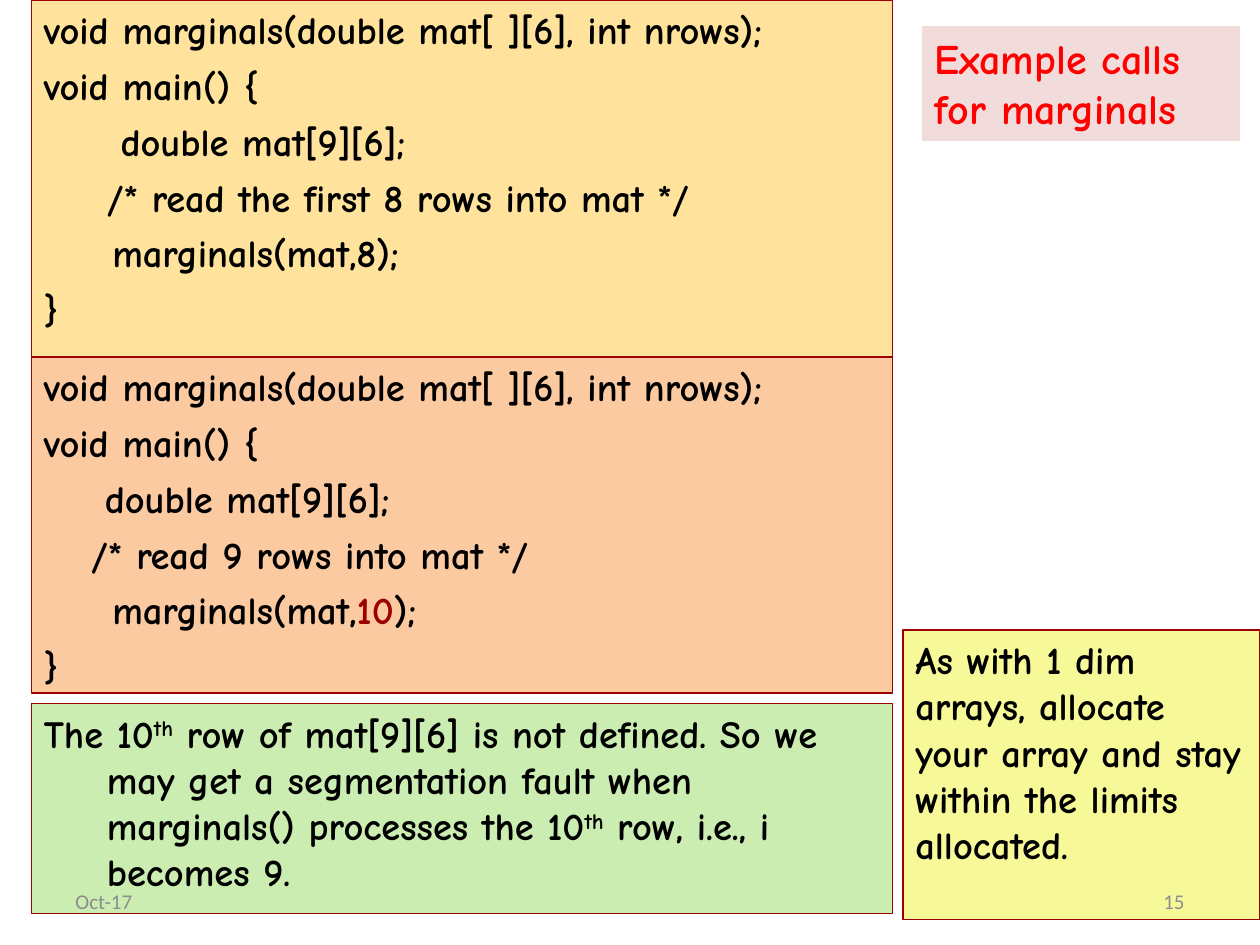
"""Build a slide with example calls of a C function taking a two-dimensional array."""
import pptx
import pptx.dml.color
import pptx.enum.shapes
import pptx.enum.text
import pptx.util

Pt = pptx.util.Pt
RGBColor = pptx.dml.color.RGBColor
ALIGN = pptx.enum.text.PP_ALIGN
ANCHOR = pptx.enum.text.MSO_ANCHOR

BLACK = RGBColor(0x00, 0x00, 0x00)
RED = RGBColor(0xFF, 0x00, 0x00)
DARK_RED = RGBColor(0x9D, 0x00, 0x00)
GRAY = RGBColor(0x8C, 0x8C, 0x8C)
PINK = RGBColor(0xF2, 0xDC, 0xDB)
YELLOW = RGBColor(0xFF, 0xE3, 0x9D)
ORANGE = RGBColor(0xFB, 0xCA, 0xA1)
GREEN = RGBColor(0xCC, 0xED, 0xB1)
LEMON = RGBColor(0xF7, 0xF9, 0x99)


def style(p, size, color, name="Comic Neue", bold=True, align=ALIGN.LEFT):
    p.alignment = align
    p.font.size = Pt(size)
    p.font.name = name
    p.font.bold = bold
    p.font.color.rgb = color


prs = pptx.Presentation()
prs.slide_width, prs.slide_height = Pt(720), Pt(540)
s = prs.slides.add_slide(prs.slide_layouts[5])

title = s.shapes.title
title.left, title.top, title.width, title.height = Pt(527), Pt(15), Pt(181.5), Pt(65.5)
title.fill.solid()
title.fill.fore_color.rgb = PINK
tf = title.text_frame
tf.text = "Example calls\nfor marginals"
tf.word_wrap = False
tf.auto_size = pptx.enum.text.MSO_AUTO_SIZE.NONE
tf.vertical_anchor = ANCHOR.TOP
for p in tf.paragraphs:
    style(p, 24, RED)

opening = [["void marginals(double mat[ ][6], int nrows);"], ["void main() {"], ["\t double mat[9][6];"]]
valid_call = opening + [["\t/* read the first 8 rows into mat */"], ["     marginals(mat,8);"], ["}"]]
invalid_call = opening + [["\t/* read 9 rows into mat */"], ["     marginals(mat,", "10", ");"], ["}"]]
warning = [["The 10", "th", " row of mat[9][6] is not defined. So we may get a segmentation fault when "
            "marginals() processes the 10", "th", " row, i.e., i becomes 9."]]
advice = [["As with 1 dim arrays, allocate your array and stay within the limits allocated."]]

boxes = [
    (18, 0, 492, 257, YELLOW, 36, valid_call),
    (18, 204, 492, 192, ORANGE, 27, invalid_call),
    (18, 402, 492, 120, GREEN, 36, warning),
    (516, 360, 204, 165.6, LEMON, 0, advice),
]
for left, top, width, height, fill, indent, lines in boxes:
    sp = s.shapes.add_shape(pptx.enum.shapes.MSO_SHAPE.RECTANGLE, Pt(left), Pt(top), Pt(width), Pt(height))
    sp.shadow.inherit = False
    sp.fill.solid()
    sp.fill.fore_color.rgb = fill
    sp.line.color.rgb = DARK_RED
    sp.line.width = Pt(0.75)
    tf = sp.text_frame
    tf.word_wrap = True
    tf.vertical_anchor = ANCHOR.TOP
    for i, line in enumerate(lines):
        p = tf.add_paragraph() if i else tf.paragraphs[0]
        if i:
            p.space_before = Pt(5.5)
        pPr = p._p.get_or_add_pPr()
        pPr.set("marL", str(Pt(indent)))
        pPr.set("indent", str(Pt(-indent)))
        style(p, 22, BLACK)
        for text in line:
            r = p.add_run()
            r.text = text
            if text == "th":
                r._r.get_or_add_rPr().set("baseline", "30000")
            elif text == "10":
                r.font.color.rgb = DARK_RED

for left, text, align in [(36, "Oct-17", ALIGN.LEFT), (516, "15", ALIGN.RIGHT)]:
    sp = s.shapes.add_textbox(Pt(left), Pt(500.5), Pt(168), Pt(28.75))
    tf = sp.text_frame
    tf.word_wrap = True
    tf.vertical_anchor = ANCHOR.MIDDLE
    tf.text = text
    style(tf.paragraphs[0], 12, GRAY, "Calibri", False, align)

prs.save("out.pptx")
